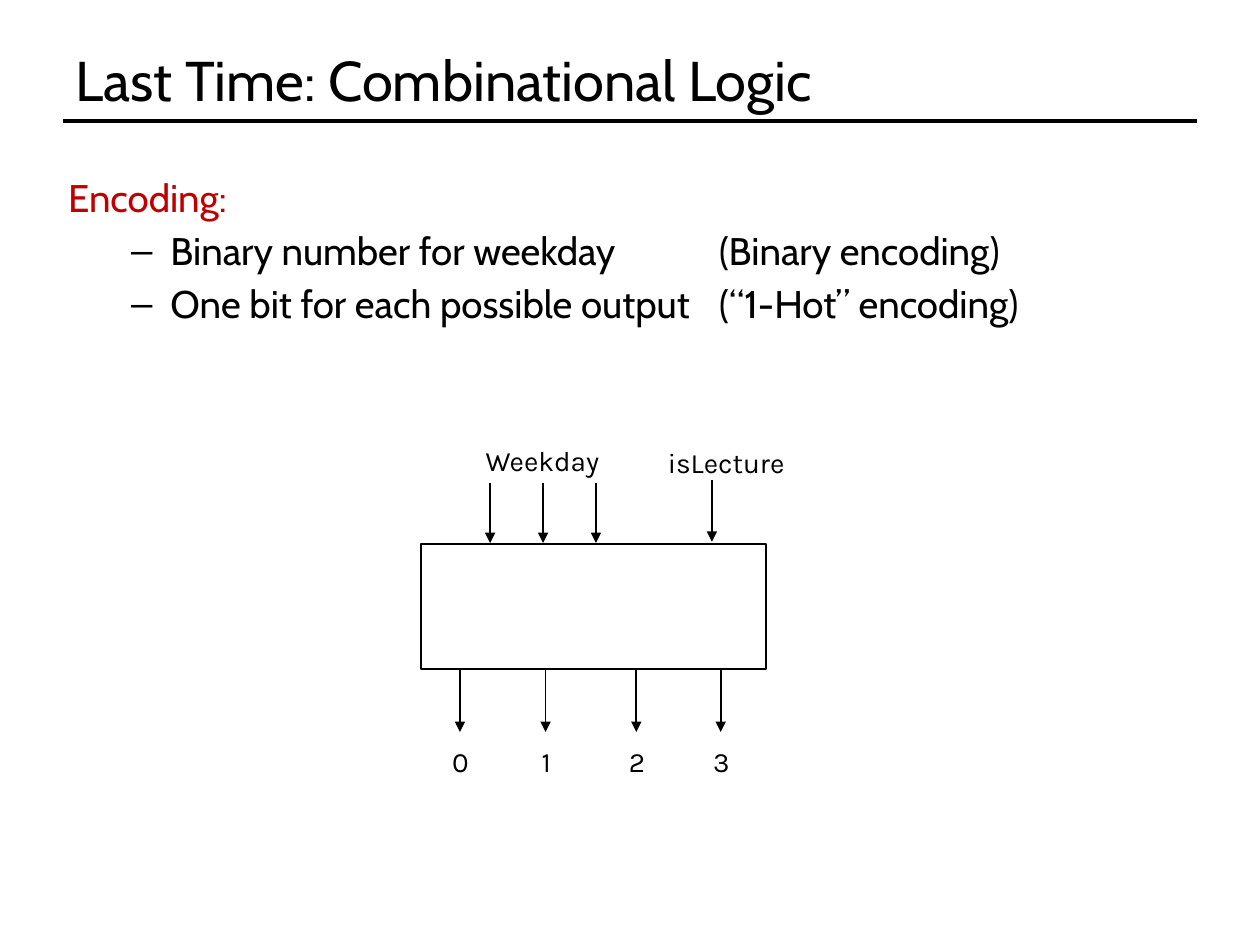
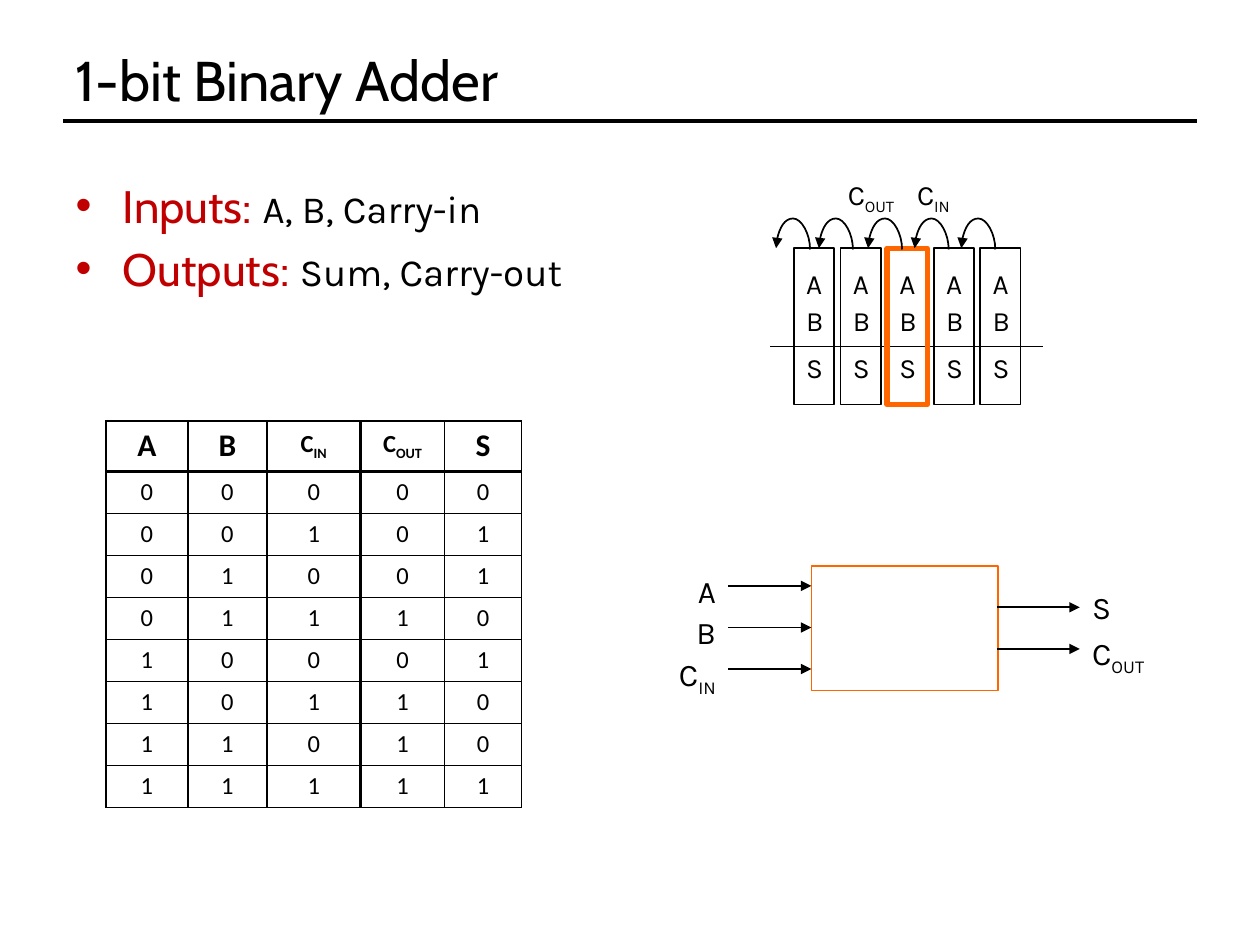
from dataclasses import dataclass
from typing import Any, NamedTuple

from lxml.etree import SubElement
from pptx import Presentation
from pptx.dml.color import RGBColor
from pptx.enum.shapes import MSO_CONNECTOR as Connector, MSO_SHAPE as Preset
from pptx.enum.text import MSO_ANCHOR as Anchor, MSO_AUTO_SIZE as AutoSize, PP_ALIGN as Align
from pptx.oxml.ns import qn
from pptx.util import Emu, Pt

EMU_PER_PX = 9144
BLACK = RGBColor(0x00, 0x00, 0x00)
WHITE = RGBColor(0xFF, 0xFF, 0xFF)
RED = RGBColor(0xC0, 0x00, 0x00)
ORANGE = RGBColor(0xFF, 0x66, 0x00)
HEADING_FONT, LABEL_FONT, TABLE_FONT = "Cabin", "Karla", "Calibri"


class Box(NamedTuple):
    left: int
    top: int
    width: int
    height: int


class Span(NamedTuple):
    text: str
    font: str = LABEL_FONT
    size: int = 16
    color: RGBColor = BLACK
    bold: bool = False
    subscript: bool = False


class Line(NamedTuple):
    spans: list[Span]
    level: int = 0


class Arrow(NamedTuple):
    x1: int
    y1: int
    x2: int
    y2: int


@dataclass(frozen=True)
class LabelStyle:
    size: int
    inset_x: int = 10
    inset_y: int = 5
    line_spacing: int | None = None


DECODER_LABEL = LabelStyle(16, 2, 3, 22)
COLUMN_LABEL = LabelStyle(16)
PIN_LABEL = LabelStyle(18)


def px(length: int) -> Emu:
    return Emu(length * EMU_PER_PX)


def assign(target: Any, values: dict[str, Any]) -> None:
    for name, value in values.items():
        setattr(target, name, value)


def place(shape: Any, box: Box) -> None:
    assign(shape, {name: px(value) for name, value in box._asdict().items()})


def write_spans(paragraph: Any, spans: list[Span]) -> None:
    for span in spans:
        run = paragraph.add_run()
        run.text = span.text
        assign(run.font, {"name": span.font, "size": Pt(span.size), "bold": span.bold})
        run.font.color.rgb = span.color
        if span.subscript:
            run._r.get_or_add_rPr().set("baseline", "-25000")


def carry(suffix: str, size: int, font: str = LABEL_FONT, bold: bool = False) -> list[Span]:
    return [Span("C", font, size, bold=bold), Span(suffix, font, size, bold=bold, subscript=True)]


def write_lines(frame: Any, lines: list[Line]) -> None:
    assign(frame, {"word_wrap": True, "auto_size": AutoSize.NONE})
    for index, line in enumerate(lines):
        paragraph = frame.add_paragraph() if index else frame.paragraphs[0]
        assign(paragraph, {"level": line.level, "space_before": Pt(line.spans[0].size // 5)})
        write_spans(paragraph, line.spans)


def remove_bullet(paragraph: Any) -> None:
    properties = paragraph._p.get_or_add_pPr()
    properties.set("marL", "0")
    properties.set("indent", "0")
    SubElement(properties, qn("a:buNone"))


def add_label(slide: Any, box: Box, spans: list[Span], style: LabelStyle,
              align: Any = Align.LEFT) -> Any:
    frame = slide.shapes.add_textbox(*map(px, box)).text_frame
    assign(frame, {
        "word_wrap": True,
        "margin_left": px(style.inset_x), "margin_right": px(style.inset_x),
        "margin_top": px(style.inset_y), "margin_bottom": px(style.inset_y),
    })
    paragraph = frame.paragraphs[0]
    paragraph.alignment = align
    if style.line_spacing:
        paragraph.line_spacing = Pt(style.line_spacing)
    write_spans(paragraph, spans)
    return paragraph


def add_block(slide: Any, box: Box, color: RGBColor = BLACK, width: float = 1,
              fill: RGBColor | None = None) -> None:
    shape = slide.shapes.add_shape(Preset.RECTANGLE, *map(px, box))
    shape.shadow.inherit = False
    if fill is None:
        shape.fill.background()
    else:
        shape.fill.solid()
        shape.fill.fore_color.rgb = fill
    shape.line.color.rgb = color
    shape.line.width = Pt(width)


def add_line(slide: Any, arrow: Arrow, width: float = 1, head: bool = True,
             kind: Any = Connector.STRAIGHT) -> Any:
    connector = slide.shapes.add_connector(kind, *map(px, arrow))
    connector.line.color.rgb = BLACK
    connector.line.width = Pt(width)
    properties = connector._element.spPr
    if head:
        SubElement(properties.find(qn("a:ln")), qn("a:tailEnd"), type="triangle")
    SubElement(properties, qn("a:effectLst"))
    return connector


def add_carry_arc(slide: Any, start_x: int) -> None:
    span, base, rise = 27, 184, 25
    left = start_x - span // 2 - 1
    connector = add_line(slide, Arrow(left + 1, base, left, base + span), kind=Connector.CURVE)
    properties = connector._element.spPr
    properties.find(qn("a:xfrm")).set("rot", "5400000")
    adjustments = properties.find(qn("a:prstGeom")).get_or_add_avLst()
    SubElement(adjustments, qn("a:gd"), name="adj1", fmla=f"val {rise * 100000}")


def add_titled_slide(presentation: Any, title: str, body_box: Box, lines: list[Line]) -> Any:
    slide = presentation.slides.add_slide(presentation.slide_layouts[1])
    add_line(slide, Arrow(50, 96, 950, 96), width=2, head=False)
    heading, body = slide.placeholders
    place(heading, Box(50, 30, 900, 66))
    assign(heading.text_frame, {"vertical_anchor": Anchor.MIDDLE, "auto_size": AutoSize.NONE})
    paragraph = heading.text_frame.paragraphs[0]
    paragraph.alignment = Align.LEFT
    write_spans(paragraph, [Span(title, HEADING_FONT, 32)])
    place(body, body_box)
    write_lines(body.text_frame, lines)
    return slide


def build_logic_slide(presentation: Any) -> None:
    def item(text: str, level: int = 0, color: RGBColor = BLACK) -> Line:
        return Line([Span(text, HEADING_FONT, 22, color)], level)

    slide = add_titled_slide(presentation, "Last Time: Combinational Logic", Box(44, 133, 900, 495), [
        item("Encoding:", color=RED),
        item("Binary number for weekday", 1),
        item("One bit for each possible output", 1),
    ])
    remove_bullet(slide.placeholders[1].text_frame.paragraphs[0])
    encodings = slide.shapes.add_textbox(*map(px, Box(561, 175, 350, 95)))
    write_lines(encodings.text_frame, [item("(Binary encoding)"), item("(“1-Hot” encoding)")])

    add_block(slide, Box(334, 432, 274, 99))
    for bit in range(3):
        x = 389 + 42 * bit
        add_line(slide, Arrow(x, 383, x, 431))
    add_line(slide, Arrow(565, 381, 565, 430))
    add_label(slide, Box(332, 345, 197, 44), [Span("Weekday")], DECODER_LABEL, Align.CENTER)
    add_label(slide, Box(528, 347, 159, 44), [Span("isLecture")], DECODER_LABEL)
    for number, x in enumerate((365, 433, 505, 572)):
        add_line(slide, Arrow(x, 532, x, 581))
        add_label(slide, Box(x - 63, 584, 127, 44), [Span(str(number))], DECODER_LABEL, Align.CENTER)


def add_ripple_columns(slide: Any) -> None:
    pitch, count, carried = 37, 5, 2
    add_line(slide, Arrow(611, 275, 828, 275), head=False)
    for letter, top in (("A", 207), ("B", 236), ("S", 273)):
        paragraph = add_label(slide, Box(630, top, 211, 37),
                              [Span("\t".join(letter * count))], COLUMN_LABEL)
        tabs = SubElement(paragraph._p.get_or_add_pPr(), qn("a:tabLst"))
        for column in range(1, count):
            SubElement(tabs, qn("a:tab"), pos=str(px(pitch * column)), algn="l")
    for column in range(count):
        color, width = (ORANGE, 3) if column == carried else (BLACK, 1)
        add_block(slide, Box(630 + pitch * column, 197, 32, 124), color, width)
    for start_x in (643, 677, 716, 753, 790):
        add_carry_arc(slide, start_x)
    add_label(slide, Box(718, 136, 61, 37), carry("IN", 16), COLUMN_LABEL)
    add_label(slide, Box(663, 136, 72, 37), carry("OUT", 16), COLUMN_LABEL)


def add_adder_block(slide: Any) -> None:
    add_block(slide, Box(644, 449, 148, 99), ORANGE, fill=WHITE)
    for index, spans in enumerate(([Span("A", size=18)], [Span("B", size=18)], carry("IN", 18))):
        y = 465 + 33 * index
        add_line(slide, Arrow(578, y, 644, y))
        add_label(slide, Box(518, y - 16, 60, 40), spans, PIN_LABEL, Align.RIGHT)
    for y, top, spans in ((482, 462, [Span("S", size=18)]), (515, 498, carry("OUT", 18))):
        add_line(slide, Arrow(791, y, 857, y))
        add_label(slide, Box(857, top, 70, 40), spans, PIN_LABEL)


def set_borders(cell: Any, widths: dict[str, float]) -> None:
    properties = cell._tc.get_or_add_tcPr()
    for side, width in widths.items():
        border = SubElement(properties, qn(f"a:ln{side}"), w=str(Pt(width)))
        fill = SubElement(border, qn("a:solidFill"))
        SubElement(fill, qn("a:srgbClr"), val=str(BLACK))


def add_truth_table(slide: Any) -> None:
    header = [[Span(name, TABLE_FONT, 18, bold=True)] for name in "ABS"]
    header[2:2] = [carry(suffix, 14, TABLE_FONT, True) for suffix in ("IN", "OUT")]
    rows = [header]
    for number in range(8):
        a, b, c = number >> 2, number >> 1 & 1, number & 1
        total = a + b + c
        bits = (a, b, c, total >> 1, total & 1)
        rows.append([[Span(str(bit), TABLE_FONT, 14)] for bit in bits])

    widths, header_height, height = (65, 63, 74, 67, 61), 40, 307
    box = Box(84, 334, sum(widths), height)
    table = slide.shapes.add_table(len(rows), len(widths), *map(px, box)).table
    assign(table, {"first_row": False, "horz_banding": False})
    for column, width in zip(table.columns, widths):
        column.width = px(width)
    for index, row in enumerate(table.rows):
        row.height = px(header_height) if index == 0 else px(height - header_height) // 8
    thin, thick = 1, 2.25
    for r, row in enumerate(rows):
        for c, spans in enumerate(row):
            cell = table.cell(r, c)
            set_borders(cell, {
                "L": thick if c == 3 else thin, "R": thick if c == 2 else thin,
                "T": thick if r == 1 else thin, "B": thick if r == 0 else thin,
            })
            cell.fill.background()
            assign(cell, {"vertical_anchor": Anchor.MIDDLE,
                          "margin_top": px(3), "margin_bottom": px(3)})
            paragraph = cell.text_frame.paragraphs[0]
            paragraph.alignment = Align.CENTER
            write_spans(paragraph, spans)


def build_adder_slide(presentation: Any) -> None:
    lines = [
        Line([Span(term, HEADING_FONT, 26, RED), Span(signals, size=22)])
        for term, signals in (("Inputs: ", "A, B, Carry-in"), ("Outputs: ", "Sum, Carry-out"))
    ]
    slide = add_titled_slide(presentation, "1-bit Binary Adder", Box(50, 136, 900, 562), lines)
    add_adder_block(slide)
    add_ripple_columns(slide)
    add_truth_table(slide)


def main() -> None:
    presentation = Presentation()
    assign(presentation, {"slide_width": px(1000), "slide_height": px(750)})
    build_logic_slide(presentation)
    build_adder_slide(presentation)
    presentation.save("out.pptx")


if __name__ == "__main__":
    main()
